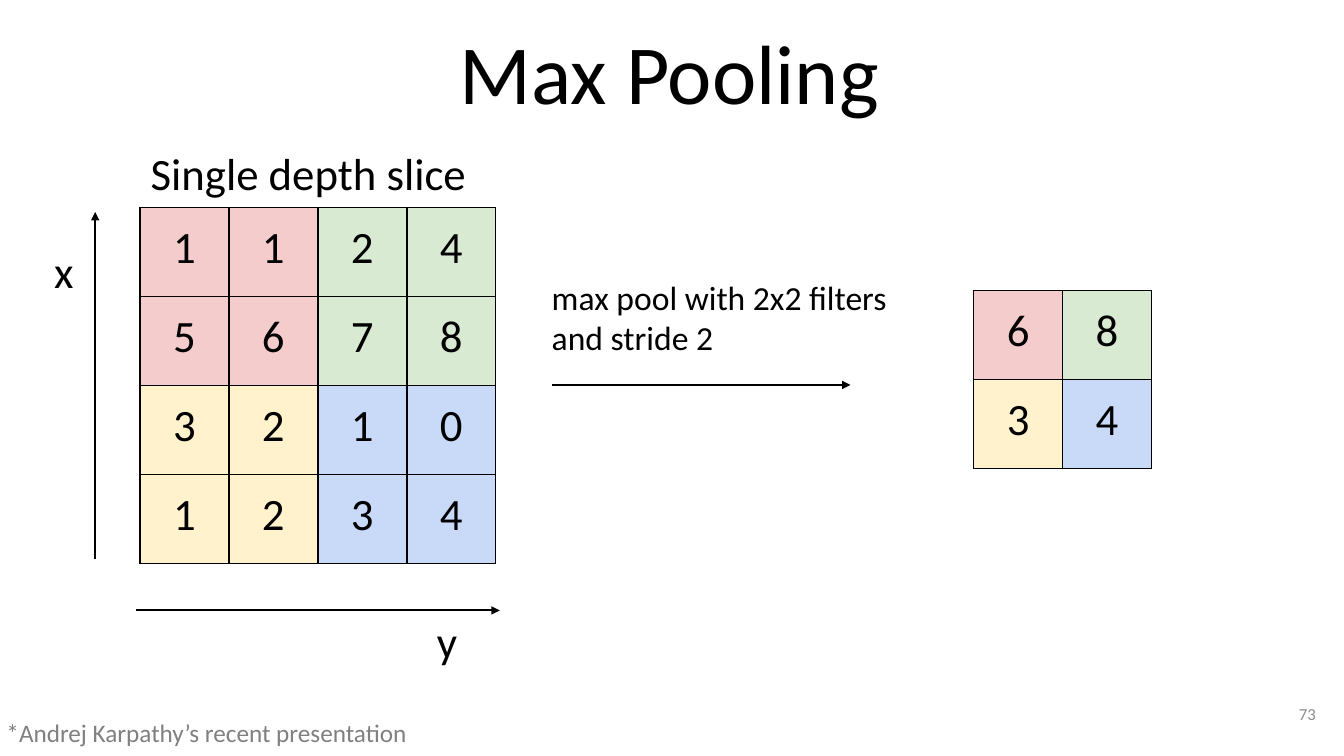
from lxml.etree import SubElement as Sub
from pptx import Presentation
from pptx.dml.color import RGBColor as Rgb
from pptx.enum.shapes import MSO_CONNECTOR as Conn
from pptx.enum.text import MSO_ANCHOR as Anchor, MSO_AUTO_SIZE as Auto, PP_ALIGN as Align
from pptx.oxml.ns import qn
from pptx.util import Pt

HUES = {
    "ink": "000000", "note": "808080", "page": "8C8C8C",
    "red": "F4CCCC", "green": "D9EAD3", "gold": "FFF2CC", "blue": "C9DAF8",
}
QUADS = ["red", "green", "gold", "blue"]
INPUT = [[1, 1, 2, 4], [5, 6, 7, 8], [3, 2, 1, 0], [1, 2, 3, 4]]
SIDE = 63.5
PAD = 9.6


def pool(grid):
    """Return the maximum of each 2x2 block."""
    steps = range(0, len(grid), 2)
    return [[max(grid[r + i][c + j] for i in (0, 1) for j in (0, 1)) for c in steps]
            for r in steps]


def write(frame, text, size, hue="ink", align=Align.LEFT, pad=PAD, anchor=Anchor.TOP):
    """Fill a text frame and format its runs."""
    frame.word_wrap = True
    frame.auto_size = Auto.NONE
    frame.vertical_anchor = anchor
    frame.margin_left = frame.margin_right = Pt(pad)
    frame.margin_top = frame.margin_bottom = Pt(pad)
    frame.text = text
    style(frame.paragraphs[0], size, hue, align)


def style(para, size, hue, align):
    """Set the look of one paragraph."""
    para.alignment = align
    for run in para.runs:
        run.font.name = "Calibri"
        run.font.size = Pt(size)
        run.font.color.rgb = Rgb.from_string(HUES[hue])


def label(slide, box, text, size, **look):
    """Place a text box."""
    shape = slide.shapes.add_textbox(*map(Pt, box))
    write(shape.text_frame, text, size, **look)


def arrow(slide, start, end):
    """Draw a line with a head at its end."""
    line = slide.shapes.add_connector(Conn.STRAIGHT, *map(Pt, start + end))
    line.line.color.rgb = Rgb.from_string(HUES["ink"])
    line.line.width = Pt(1.5)
    props = line._element.spPr
    Sub(props.find(qn("a:ln")), qn("a:tailEnd"), type="triangle")
    Sub(props, qn("a:effectLst"))


def border(cell, widths):
    """Rule the four sides of a cell."""
    props = cell._tc.get_or_add_tcPr()
    for side, width in zip("LRTB", widths):
        rule = Sub(props, qn(f"a:ln{side}"), w=str(Pt(width)))
        Sub(Sub(rule, qn("a:solidFill")), qn("a:srgbClr"), val=HUES["ink"])


def matrix(slide, left, top, grid, upright):
    """Draw a square grid coloured by quadrant."""
    count = len(grid)
    half = count // 2
    span = Pt(SIDE * count)
    table = slide.shapes.add_table(count, count, Pt(left), Pt(top), span, span).table
    table.first_row = table.horz_banding = False
    for line in [*table.columns]:
        line.width = Pt(SIDE)
    for r, row in enumerate(grid):
        table.rows[r].height = Pt(SIDE)
        for c, value in enumerate(row):
            cell = table.cell(r, c)
            border(cell, (upright, upright, 0.75, 0.75))
            cell.fill.solid()
            hue = QUADS[r // half * 2 + c // half]
            cell.fill.fore_color.rgb = Rgb.from_string(HUES[hue])
            cell.margin_left = cell.margin_right = Pt(PAD)
            cell.margin_top = cell.margin_bottom = Pt(PAD)
            cell.text = str(value)
            style(cell.text_frame.paragraphs[0], 32, "ink", Align.CENTER)


def head(slide, box):
    """Place the slide title."""
    title = slide.shapes.title
    title.left, title.top, title.width, title.height = map(Pt, box)
    write(title.text_frame, "Max Pooling", 60, align=Align.CENTER)


def source(slide, left, top):
    """Draw the input slice with its axes."""
    span = SIDE * len(INPUT)
    base = top + span
    matrix(slide, left, top, INPUT, 1.5)
    label(slide, (left - 2, top - 54, 275, 59), "Single depth slice", 32)
    arrow(slide, (left - 32, base - 3), (left - 32, top + 3))
    label(slide, (left - 71, top + 16, 41, 49), "x", 32)
    arrow(slide, (left - 3, base + 33.5), (left + span + 3, base + 33.5))
    label(slide, (left + 202.5, base + 26, 41, 38), "y", 32)


def step(slide, left, top):
    """Describe the pooling step above its arrow."""
    label(slide, (left, top, 281, 76), "max pool with 2x2 filters and stride 2", 24)
    arrow(slide, (left + 9.5, top + 87), (left + 223, top + 87))


def foot(slide, left, top):
    """Place the credit and the page number."""
    label(slide, (left, top, 816, 37), "*Andrej Karpathy’s recent presentation", 18, hue="note")
    label(slide, (left + 894, top - 13.5, 58, 41), "73", 12, hue="page",
          align=Align.RIGHT, pad=7.2, anchor=Anchor.MIDDLE)


def main():
    """Build and save the slide."""
    deck = Presentation()
    deck.slide_width, deck.slide_height = Pt(960), Pt(540)
    slide = deck.slides.add_slide(deck.slide_layouts[5])
    head(slide, (70, 5, 816, 70))
    source(slide, 100, 148.5)
    step(slide, 384.5, 188)
    matrix(slide, 695.5, 207.5, pool(INPUT), 0.75)
    foot(slide, -5, 503)
    deck.save("out.pptx")


if __name__ == "__main__":
    main()
